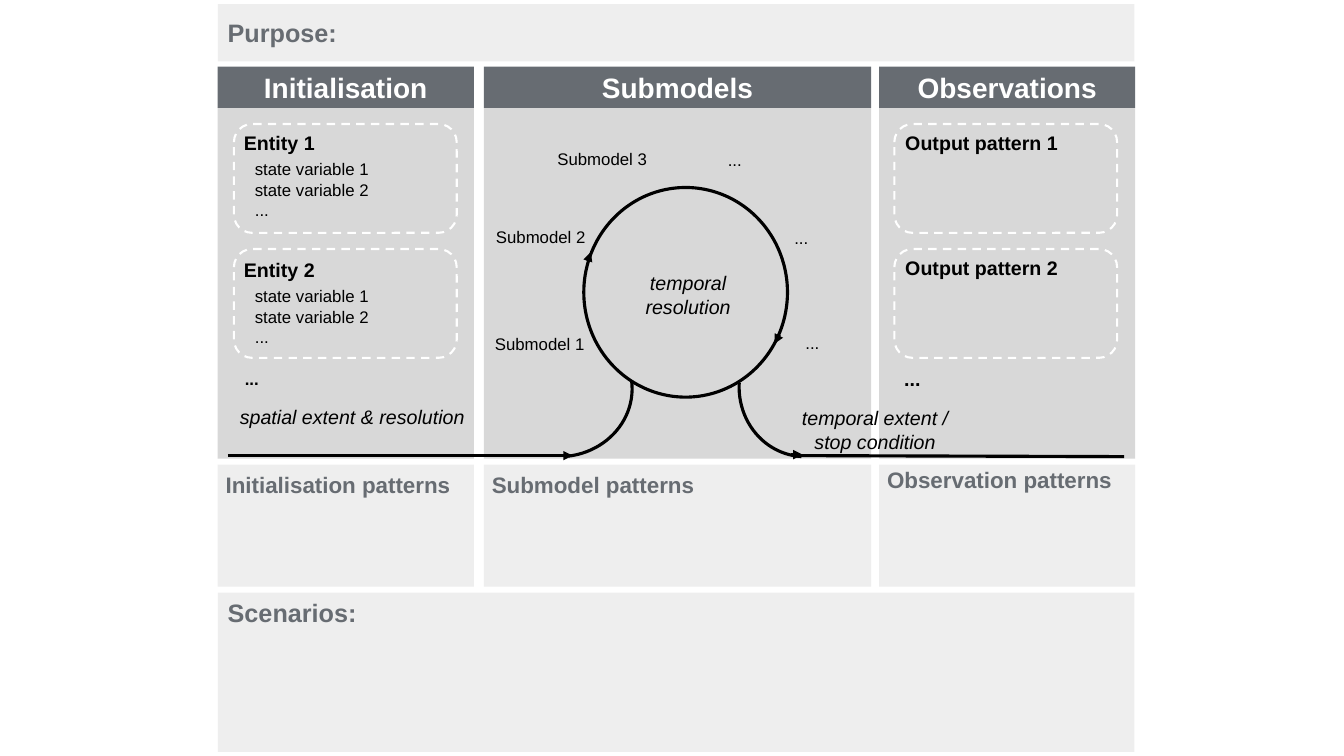
from lxml.etree import SubElement
from pptx import Presentation
from pptx.dml.color import RGBColor
from pptx.enum.dml import MSO_LINE
from pptx.enum.shapes import MSO_CONNECTOR, MSO_SHAPE as Preset
from pptx.enum.text import MSO_ANCHOR as Anchor, MSO_AUTO_SIZE as Fit, PP_ALIGN as Align
from pptx.oxml.ns import qn
from pptx.util import Inches, Pt

COLORS = {"pale": "EEEEEE", "panel": "D8D8D8", "slate": "676C72",
          "white": "FFFFFF", "black": "000000"}

deck = Presentation()
deck.slide_width, deck.slide_height = Inches(13.33), Inches(7.5)
slide = deck.slides.add_slide(deck.slide_layouts[6])


def draw(preset, left, top, width, height, fill=None, line=None, weight=2.25):
    shape = slide.shapes.add_shape(preset, *map(Inches, (left, top, width, height)))
    shape.shadow.inherit = False
    if fill:
        shape.fill.solid()
        shape.fill.fore_color.rgb = RGBColor.from_string(COLORS[fill])
    else:
        shape.fill.background()
    if line:
        shape.line.color.rgb = RGBColor.from_string(COLORS[line])
        shape.line.width = Pt(weight)
    else:
        shape.line.fill.background()
    return shape


def write(text, box=None, place=None, size=12, color="black", bold=False,
          italic=False, align=Align.LEFT):
    if place:
        box = slide.shapes.add_textbox(*map(Inches, place))
    frame = box.text_frame
    frame.word_wrap = not place
    frame.auto_size = Fit.SHAPE_TO_FIT_TEXT if place else Fit.NONE
    frame.vertical_anchor = Anchor.TOP if place else Anchor.MIDDLE
    frame.text = text
    for paragraph in frame.paragraphs:
        paragraph.alignment = align
        font = paragraph.font
        font.name, font.size, font.bold, font.italic = "Arial", Pt(size), bold, italic
        font.color.rgb = RGBColor.from_string(COLORS[color])


LEFT, FULL_WIDTH = 2.16, 9.09
HEADER_TOP, HEADER_HEIGHT = 0.66, 0.41
BODY_TOP, BODY_HEIGHT = HEADER_TOP + HEADER_HEIGHT, 3.48
PATTERN_TOP, PATTERN_HEIGHT = 4.61, 1.21
SCENARIO_TOP = 5.88

purpose = draw(Preset.RECTANGLE, LEFT, 0.04, FULL_WIDTH, 0.57, fill="pale")
write("Purpose:", purpose, size=18, color="slate", bold=True)
draw(Preset.RECTANGLE, LEFT, SCENARIO_TOP, FULL_WIDTH, 1.58, fill="pale")
write("Scenarios:", place=(LEFT, SCENARIO_TOP, 1.48, 0.4), size=18, color="slate", bold=True)

columns = [
    ("Initialisation", LEFT, 2.54, "Initialisation patterns", 4.63, 2.43),
    ("Submodels", 4.8, 3.84, "Submodel patterns", 4.63, 2.21),
    ("Observations", 8.72, 2.54, "Observation patterns", 4.58, 2.43),
]
for heading, left, width, patterns, label_top, label_width in columns:
    draw(Preset.RECTANGLE, left, PATTERN_TOP, width, PATTERN_HEIGHT, fill="pale")
    draw(Preset.RECTANGLE, left, BODY_TOP, width, BODY_HEIGHT, fill="panel")
    header = draw(Preset.RECTANGLE, left, HEADER_TOP, width, HEADER_HEIGHT, fill="slate")
    write(heading, header, size=20, color="white", bold=True, align=Align.CENTER)
    write(patterns, place=(left - 0.02, label_top, label_width, 0.37),
          size=16, color="slate", bold=True)

CARD_TOP, CARD_PITCH = 1.23, 1.24
ENTITY_LEFT, OUTPUT_LEFT = 2.32, 8.87
for number in (1, 2):
    top = CARD_TOP + (number - 1) * CARD_PITCH
    for left in (ENTITY_LEFT, OUTPUT_LEFT):
        card = draw(Preset.ROUNDED_RECTANGLE, left, top, 2.21, 1.08, line="white", weight=1.5)
        card.line.dash_style = MSO_LINE.DASH
    entity_top = top + 0.02 * number
    write(f"Entity {number}", place=(ENTITY_LEFT, entity_top, 0.91, 0.33), size=14, bold=True)
    write("state variable 1\nstate variable 2\n...",
          place=(ENTITY_LEFT + 0.11, entity_top + 0.28, 1.34, 0.7))
    write(f"Output pattern {number}", place=(OUTPUT_LEFT + 0.01, top + 0.02, 1.72, 0.33),
          size=14, bold=True)

write("...", place=(ENTITY_LEFT + 0.01, 3.61, 0.34, 0.3), bold=True)
write("...", place=(OUTPUT_LEFT, 3.59, 0.36, 0.33), size=14, bold=True)

extents = [
    ("spatial extent & resolution", 2.27, 3.97, 2.45, 0.33),
    ("temporal\nresolution", 6.3, 2.64, 1.05, 0.57),
    ("temporal extent /\nstop condition", 7.85, 3.98, 1.66, 0.57),
]
for text, *place in extents:
    write(text, place=place, size=14, italic=True, align=Align.CENTER)

steps = [
    ("Submodel 1", 4.81, 3.26, 1.09), ("Submodel 2", 4.82, 2.2, 1.09),
    ("Submodel 3", 5.43, 1.43, 1.09), ("...", 7.12, 1.44, 0.34),
    ("...", 7.78, 2.21, 0.34), ("...", 7.89, 3.25, 0.34),
]
for text, left, top, width in steps:
    write(text, place=(left, top, width, 0.3))

draw(Preset.OVAL, 5.79, 1.86, 2.02, 2.08, line="black")
entry_curve = draw(Preset.ARC, 4.9, 3.16, 1.32, 1.42, line="black")
entry_curve.rotation = 83
exit_curve = draw(Preset.ARC, 7.33, 3.14, 1.31, 1.39, line="black")
exit_curve.rotation = 183

flows = [
    (7.88, 4.52, 11.15, 4.53, False),
    (2.26, 4.52, 5.68, 4.52, True),
    (5.83, 2.59, 5.86, 2.5, True),
    (7.73, 3.32, 7.68, 3.41, True),
    (7.85, 4.51, 7.96, 4.51, True),
]
for *ends, has_arrow in flows:
    flow = slide.shapes.add_connector(MSO_CONNECTOR.STRAIGHT, *map(Inches, ends))
    flow.line.color.rgb = RGBColor.from_string(COLORS["black"])
    flow.line.width = Pt(2.25)
    if has_arrow:
        SubElement(flow.line._get_or_add_ln(), qn("a:tailEnd"), type="triangle")
    SubElement(flow._element.spPr, qn("a:effectLst"))

deck.save("out.pptx")
